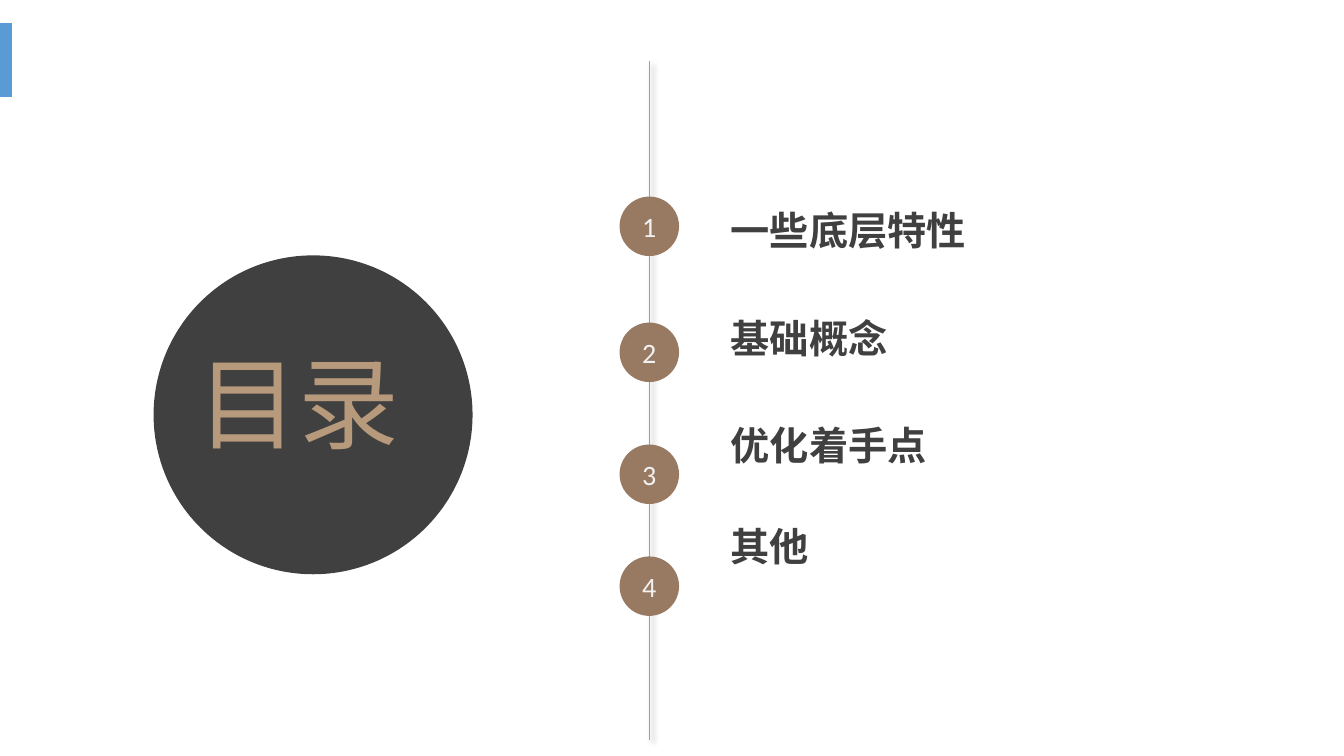
from dataclasses import dataclass

from lxml import etree
from pptx import Presentation
from pptx.dml.color import RGBColor
from pptx.enum.shapes import MSO_CONNECTOR, MSO_SHAPE
from pptx.enum.text import MSO_ANCHOR, MSO_AUTO_SIZE, PP_ALIGN
from pptx.oxml import parse_xml
from pptx.oxml.ns import nsdecls, qn
from pptx.shapes.autoshape import Shape
from pptx.slide import Slide
from pptx.text.text import _Paragraph
from pptx.util import Inches, Pt

OVAL = MSO_SHAPE.OVAL
PROCESS = MSO_SHAPE.FLOWCHART_PROCESS
STRAIGHT = MSO_CONNECTOR.STRAIGHT
MIDDLE, TOP = MSO_ANCHOR.MIDDLE, MSO_ANCHOR.TOP
CENTER, LEFT = PP_ALIGN.CENTER, PP_ALIGN.LEFT
NO_AUTOFIT = MSO_AUTO_SIZE.NONE

COLORS = {
    "accent": "5B9BD5",
    "dark": "404040",
    "tan": "B7997B",
    "badge": "987962",
    "number": "F2F2F2",
}
CHINESE_FONT = "Noto Sans CJK SC"
NUMBER_FONT = "Calibri"
TIMELINE_X = 6.44
BADGE_SIZE = 0.59


@dataclass
class Topic:
    label: str
    badge_top: float
    space_before: float


TOPICS = [
    Topic("一些底层特性", 1.95, 0),
    Topic("基础概念", 3.2, 40),
    Topic("优化着手点", 4.41, 40),
    Topic("其他", 5.52, 35),
]


def color(name: str) -> RGBColor:
    return RGBColor.from_string(COLORS[name])


def format_paragraph(paragraph: _Paragraph, font_name: str, size: float,
                     color_name: str, alignment: PP_ALIGN, bold: bool = False) -> None:
    paragraph.alignment = alignment
    font = paragraph.font
    font.name = font_name
    font.size = Pt(size)
    font.bold = bold
    font.color.rgb = color(color_name)
    properties = paragraph._p.pPr.find(qn("a:defRPr"))
    etree.SubElement(properties, qn("a:ea")).set("typeface", font_name)


def add_filled_shape(slide: Slide, kind: MSO_SHAPE, left: float, top: float,
                     width: float, height: float, color_name: str) -> Shape:
    shape = slide.shapes.add_shape(
        kind, Inches(left), Inches(top), Inches(width), Inches(height))
    shape.shadow.inherit = False
    shape.fill.solid()
    shape.fill.fore_color.rgb = color(color_name)
    shape.line.fill.background()
    return shape


def add_timeline(slide: Slide) -> None:
    timeline = slide.shapes.add_connector(
        STRAIGHT, Inches(TIMELINE_X), Inches(0.61), Inches(TIMELINE_X), Inches(7.34))
    timeline.line.color.rgb = color("tan")
    timeline.line.width = Pt(0.5)
    timeline._element.spPr.append(parse_xml(
        f'<a:effectLst {nsdecls("a")}>'
        f'<a:outerShdw blurRad="{Pt(4)}" dist="{Pt(3)}" dir="2700000" algn="tl" rotWithShape="0">'
        '<a:srgbClr val="000000"><a:alpha val="40000"/></a:srgbClr>'
        '</a:outerShdw></a:effectLst>'))


def add_badge(slide: Slide, number: int, top: float) -> None:
    badge = add_filled_shape(slide, OVAL, TIMELINE_X - BADGE_SIZE / 2, top,
                             BADGE_SIZE, BADGE_SIZE, "badge")
    frame = badge.text_frame
    frame.vertical_anchor = MIDDLE
    frame.text = str(number)
    format_paragraph(frame.paragraphs[0], NUMBER_FONT, 20, "number", CENTER)


def add_topic_list(slide: Slide) -> None:
    box = slide.shapes.add_textbox(Inches(7.15), Inches(1.95), Inches(4.18), Inches(4.65))
    frame = box.text_frame
    frame.word_wrap = True
    frame.vertical_anchor = TOP
    frame.text = "\n".join(topic.label for topic in TOPICS)
    for paragraph, topic in zip(frame.paragraphs, TOPICS):
        paragraph.line_spacing = 1.1
        paragraph.space_before = Pt(topic.space_before)
        format_paragraph(paragraph, CHINESE_FONT, 28, "dark", LEFT, bold=True)


def add_title(slide: Slide) -> None:
    """Set the title on a dark disc, bringing the placeholder in front of it."""
    disc = add_filled_shape(slide, OVAL, 1.53, 2.54, 3.15, 3.15, "dark")
    disc.line.color.rgb = color("dark")
    disc.line.width = Pt(1)
    title = slide.shapes.title
    title.left, title.top = Inches(1.4), Inches(2.42)
    title.width = title.height = Inches(3.12)
    frame = title.text_frame
    frame.auto_size = NO_AUTOFIT
    frame.vertical_anchor = MIDDLE
    frame.text = "目录"
    format_paragraph(frame.paragraphs[0], CHINESE_FONT, 72, "tan", CENTER)
    disc._element.addnext(title._element)


def main() -> None:
    presentation = Presentation()
    presentation.slide_width = Inches(13.33)
    presentation.slide_height = Inches(7.5)
    slide = presentation.slides.add_slide(presentation.slide_layouts[5])
    add_filled_shape(slide, PROCESS, 0, 0.23, 0.12, 0.73, "accent")
    add_topic_list(slide)
    add_timeline(slide)
    add_title(slide)
    for number, topic in enumerate(TOPICS, start=1):
        add_badge(slide, number, topic.badge_top)
    presentation.save("out.pptx")


if __name__ == "__main__":
    main()
